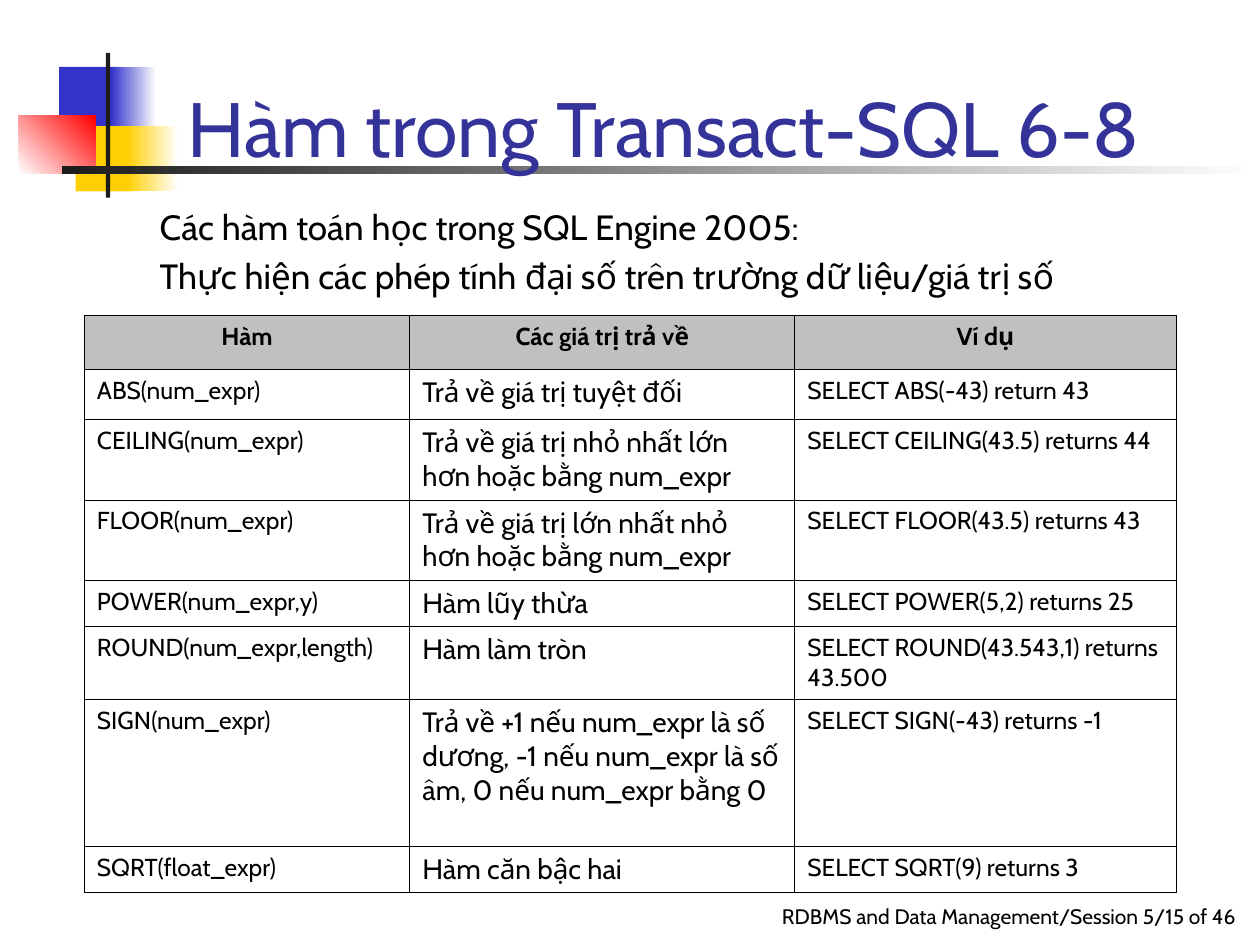
from lxml.etree import SubElement
from pptx import Presentation
from pptx.dml.color import RGBColor
from pptx.enum.shapes import MSO_SHAPE
from pptx.enum.text import MSO_ANCHOR, PP_ALIGN
from pptx.oxml.ns import qn
from pptx.util import Pt

FONT = "Cabin"
HUES = {
    "blue": "3333CC",
    "gold": "FFCF01",
    "red": "FF0000",
    "dark": "1C1C1C",
    "title": "333399",
    "head": "C0C0C0",
    "black": "000000",
    "white": "FFFFFF",
}

# left, top, width, height, colours, angle
BLOCKS = [
    (33.8, 38.2, 34.6, 37.4, ["blue"], 0),
    (63.4, 38.2, 25.9, 37.4, ["blue", "white"], 0),
    (43.2, 72, 33.1, 37.4, ["gold"], 0),
    (72.7, 72, 28.8, 37.4, ["gold", "white"], 0),
    (10.8, 66.2, 43.9, 33.1, ["white", "red"], 45),
    (60.5, 30.2, 2.4, 82.8, ["dark"], 0),
    (35.3, 95, 684.7, 4.3, ["dark", "white"], 0),
]

COLS = [186, 220, 218]
ROWS = [31, 28.5, 46, 46, 26.5, 41.5, 84, 26.5]
CELLS = [
    ("Hàm", "Các giá trị trả về", "Ví dụ"),
    ("ABS(num_expr)", "Trả về giá trị tuyệt đối", "SELECT ABS(-43) return 43"),
    ("CEILING(num_expr)", "Trả về giá trị nhỏ nhất lớn hơn hoặc bằng num_expr",
     "SELECT CEILING(43.5) returns 44"),
    ("FLOOR(num_expr)", "Trả về giá trị lớn nhất nhỏ hơn hoặc bằng num_expr",
     "SELECT FLOOR(43.5) returns 43"),
    ("POWER(num_expr,y)", "Hàm lũy thừa", "SELECT POWER(5,2) returns 25"),
    ("ROUND(num_expr,length)", "Hàm làm tròn",
     "SELECT ROUND(43.543,1) returns 43.500"),
    ("SIGN(num_expr)",
     "Trả về +1 nếu num_expr là số dương, -1 nếu num_expr là số âm, "
     "0 nếu num_expr bằng 0",
     "SELECT SIGN(-43) returns -1"),
    ("SQRT(float_expr)", "Hàm căn bậc hai", "SELECT SQRT(9) returns 3"),
]


def hue(name):
    return RGBColor.from_string(HUES[name])


def set_all(item, **props):
    for key, value in props.items():
        setattr(item, key, value)


def write(frame, text, size, color="black", bold=False, align=PP_ALIGN.LEFT):
    line = frame.paragraphs[0]
    line.text = text
    line.alignment = align
    set_all(line.font, name=FONT, size=Pt(size), bold=bold)
    line.font.color.rgb = hue(color)
    return line


def add_block(slide, left, top, width, height, colors, angle):
    block = slide.shapes.add_shape(
        MSO_SHAPE.RECTANGLE, Pt(left), Pt(top), Pt(width), Pt(height))
    block.shadow.inherit = False
    block.line.fill.background()
    if len(colors) == 1:
        block.fill.solid()
        block.fill.fore_color.rgb = hue(colors[0])
        return
    block.fill.gradient()
    block.fill.gradient_angle = angle
    for stop, name in zip(block.fill.gradient_stops, colors):
        stop.color.rgb = hue(name)


def add_text(slide, left, top, width, height, text, size, frame=None, **style):
    """Add a wrapped text box; frame holds settings of its text frame."""
    box = slide.shapes.add_textbox(Pt(left), Pt(top), Pt(width), Pt(height))
    set_all(box.text_frame, word_wrap=True, **(frame or {}))
    return write(box.text_frame, text, size, **style)


def indent(line, left, first=0):
    props = line._p.get_or_add_pPr()
    props.set("marL", str(Pt(left)))
    props.set("indent", str(Pt(first)))


def add_edges(cell):
    """Draw a thin black line on all four sides of the cell."""
    props = cell._tc.get_or_add_tcPr()
    for side in ("lnL", "lnR", "lnT", "lnB"):
        edge = SubElement(props, qn(f"a:{side}"), w=str(Pt(0.45)))
        fill = SubElement(edge, qn("a:solidFill"))
        SubElement(fill, qn("a:srgbClr"), val=HUES["black"])


def add_grid(slide, left, top):
    grid = slide.shapes.add_table(
        len(ROWS), len(COLS), Pt(left), Pt(top),
        Pt(sum(COLS)), Pt(sum(ROWS))).table
    set_all(grid, first_row=False, horz_banding=False)
    for col, width in zip(grid.columns, COLS):
        col.width = Pt(width)
    for r, (row, height) in enumerate(zip(grid.rows, ROWS)):
        row.height = Pt(height)
        for c, cell in enumerate(row.cells):
            add_edges(cell)
            if r == 0:
                cell.fill.solid()
                cell.fill.fore_color.rgb = hue("head")
                style = {"bold": True, "align": PP_ALIGN.CENTER}
            else:
                cell.fill.background()
                style = {}
            size = 16 if r and c == 1 else 14
            write(cell.text_frame, CELLS[r][c], size, **style)


def main():
    deck = Presentation()
    set_all(deck, slide_width=Pt(720), slide_height=Pt(540))
    slide = deck.slides.add_slide(deck.slide_layouts[6])

    add_text(slide, 396, 512.6, 354.2, 23.8,
             "RDBMS and Data Management/Session 5/15 of 46", 12,
             frame={"margin_right": 0}, align=PP_ALIGN.CENTER)
    for block in BLOCKS:
        add_block(slide, *block)
    add_text(slide, 100, 12.2, 613.4, 90, "Hàm trong Transact-SQL 6-8", 44,
             frame={"vertical_anchor": MSO_ANCHOR.BOTTOM}, color="title")
    goal = add_text(
        slide, 48.2, 138.2, 612, 126,
        "Thực hiện các phép tính đại số trên trường dữ liệu/giá trị số", 20,
        frame={"margin_top": Pt(7.4)}, align=PP_ALIGN.JUSTIFY)
    indent(goal, 58.3, -22.3)
    add_grid(slide, 48.2, 180.2)
    topic = add_text(slide, 48.2, 113.8, 635.8, 31.7,
                     "Các hàm toán học trong SQL Engine 2005:", 20)
    indent(topic, 36)

    deck.save("out.pptx")


if __name__ == "__main__":
    main()
